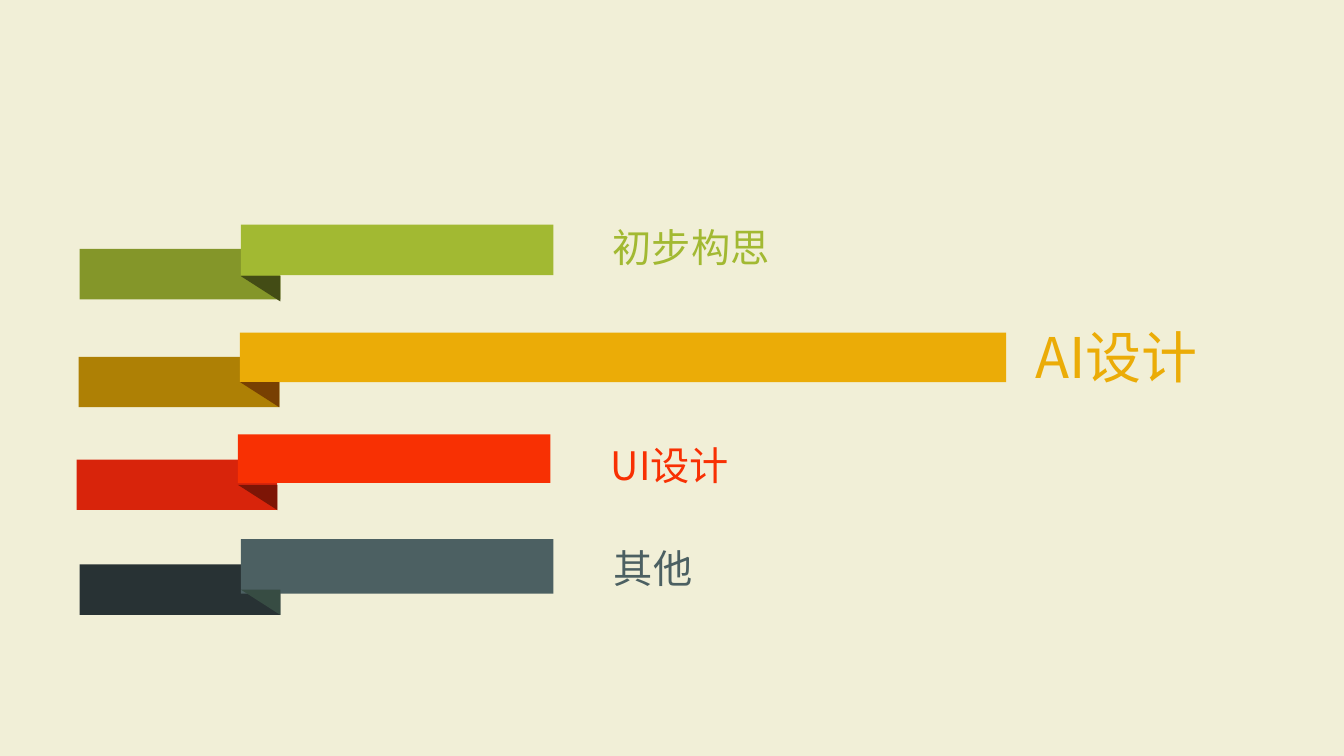
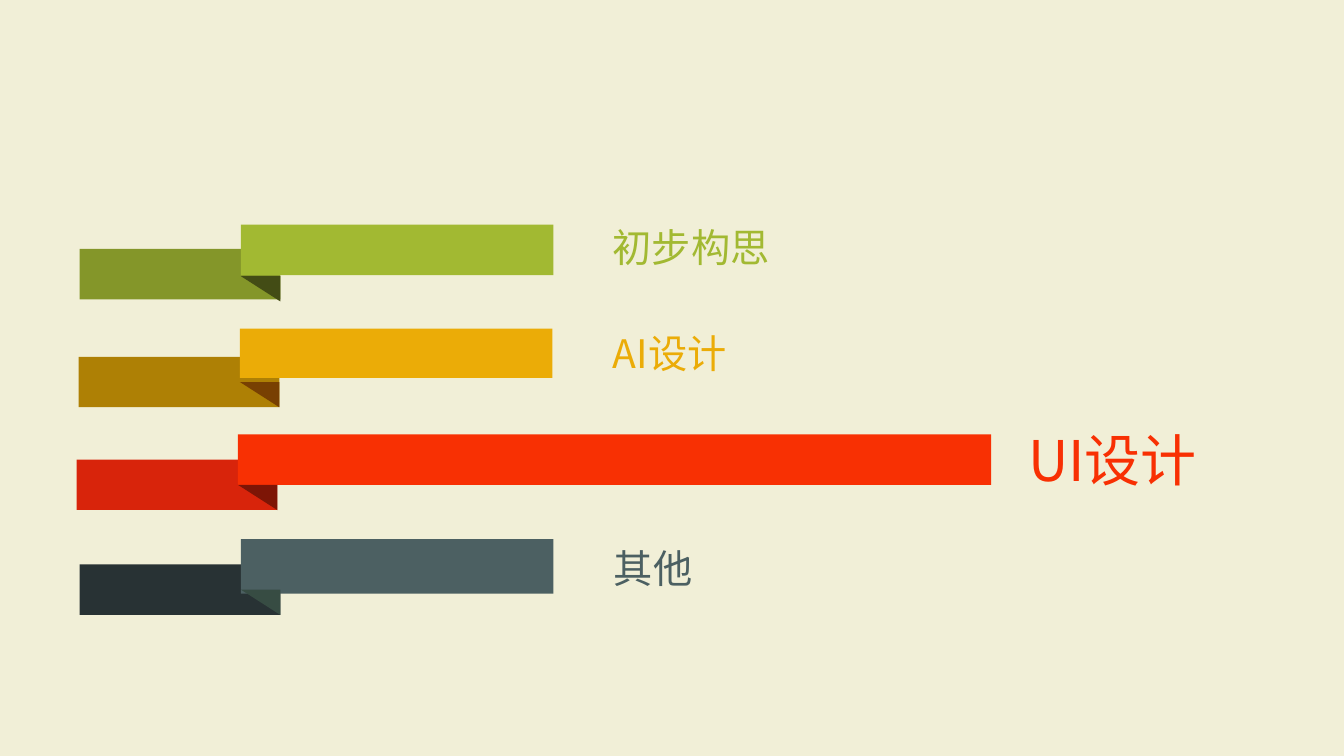
from lxml import etree
from pptx import Presentation
from pptx.dml.color import RGBColor
from pptx.enum.shapes import MSO_SHAPE
from pptx.oxml.ns import qn
from pptx.util import Inches, Pt

RECTANGLE = MSO_SHAPE.RECTANGLE
TRIANGLE = MSO_SHAPE.ISOSCELES_TRIANGLE

CREAM = RGBColor(0xF1, 0xEF, 0xD7)
RED, RED_TAIL, RED_FOLD = (RGBColor.from_string(c) for c in ("F83003", "D8240B", "7D1506"))
AMBER, AMBER_TAIL, AMBER_FOLD = (RGBColor.from_string(c) for c in ("EBAC07", "AE8005", "784002"))
GREEN, GREEN_TAIL, GREEN_FOLD = (RGBColor.from_string(c) for c in ("A2B932", "849629", "434C15"))
SLATE, SLATE_TAIL, SLATE_FOLD = (RGBColor.from_string(c) for c in ("4C6062", "283234", "374C43"))

FONT = "Noto Sans CJK SC"
TAIL_WIDTH, TAIL_HEIGHT = 1.99, 0.5
FOLD_WIDTH, FOLD_HEIGHT = 0.39, 0.25
BAND_OFFSET = 1.6
BAND_WIDTH = 3.1

# label, left, tail top, fold top, band colour, tail colour, fold colour
RIBBONS = [
    ("UI设计", 0.76, 4.56, 4.81, RED, RED_TAIL, RED_FOLD),
    ("AI设计", 0.78, 3.54, 3.79, AMBER, AMBER_TAIL, AMBER_FOLD),
    ("初步构思", 0.79, 2.47, 2.74, GREEN, GREEN_TAIL, GREEN_FOLD),
    ("其他", 0.79, 5.6, 5.85, SLATE, SLATE_TAIL, SLATE_FOLD),
]

# For each ribbon: band (top, width, height), label (left, top, width, height), size
GREEN_STATE = ((2.23, BAND_WIDTH, 0.5), (5.98, 2.17, 1.91, 0.57), 28)
SLATE_STATE = ((5.35, BAND_WIDTH, 0.54), (5.99, 5.35, 1.89, 0.57), 28)
SLIDES = [
    [((4.31, BAND_WIDTH, 0.48), (5.96, 4.33, 1.58, 0.57), 28),
     ((3.3, 7.6, 0.49), (10.17, 3.15, 2.7, 0.77), 40),
     GREEN_STATE, SLATE_STATE],
    [((4.31, 7.47, 0.5), (10.1, 4.17, 2.09, 0.77), 40),
     ((3.26, BAND_WIDTH, 0.49), (5.98, 3.22, 1.58, 0.57), 28),
     GREEN_STATE, SLATE_STATE],
]


def add_flat_shape(page, kind, left, top, width, height, color):
    shape = page.shapes.add_shape(kind, Inches(left), Inches(top), Inches(width), Inches(height))
    shape.shadow.inherit = False
    shape.fill.solid()
    shape.fill.fore_color.rgb = color
    shape.line.fill.background()
    return shape


def add_label(page, text, place, size, color):
    box = page.shapes.add_textbox(*(Inches(length) for length in place))
    box.text_frame.word_wrap = True
    box.text_frame.text = text
    span = box.text_frame.paragraphs[0].runs[0]
    span.font.name = FONT
    span.font.size = Pt(size)
    span.font.color.rgb = color
    # Chinese characters take their font from a:ea
    etree.SubElement(span.font._element, qn("a:ea")).set("typeface", FONT)


deck = Presentation()
deck.slide_width = Inches(13.33)
deck.slide_height = Inches(7.5)
background = deck.slide_master.background.fill
background.solid()
background.fore_color.rgb = CREAM
blank_layout = deck.slide_layouts[6]

for states in SLIDES:
    page = deck.slides.add_slide(blank_layout)
    for ribbon, (band, label_place, size) in zip(RIBBONS, states):
        label, left, tail_top, fold_top, color, tail_color, fold_color = ribbon
        band_top, band_width, band_height = band
        band_left = left + BAND_OFFSET
        add_flat_shape(page, RECTANGLE, left, tail_top, TAIL_WIDTH, TAIL_HEIGHT, tail_color)
        add_flat_shape(page, RECTANGLE, band_left, band_top, band_width, band_height, color)
        fold = add_flat_shape(page, TRIANGLE, band_left, fold_top, FOLD_WIDTH, FOLD_HEIGHT, fold_color)
        fold.adjustments[0] = 0
        fold.rotation = 180
        add_label(page, label, label_place, size, color)

deck.save("out.pptx")
